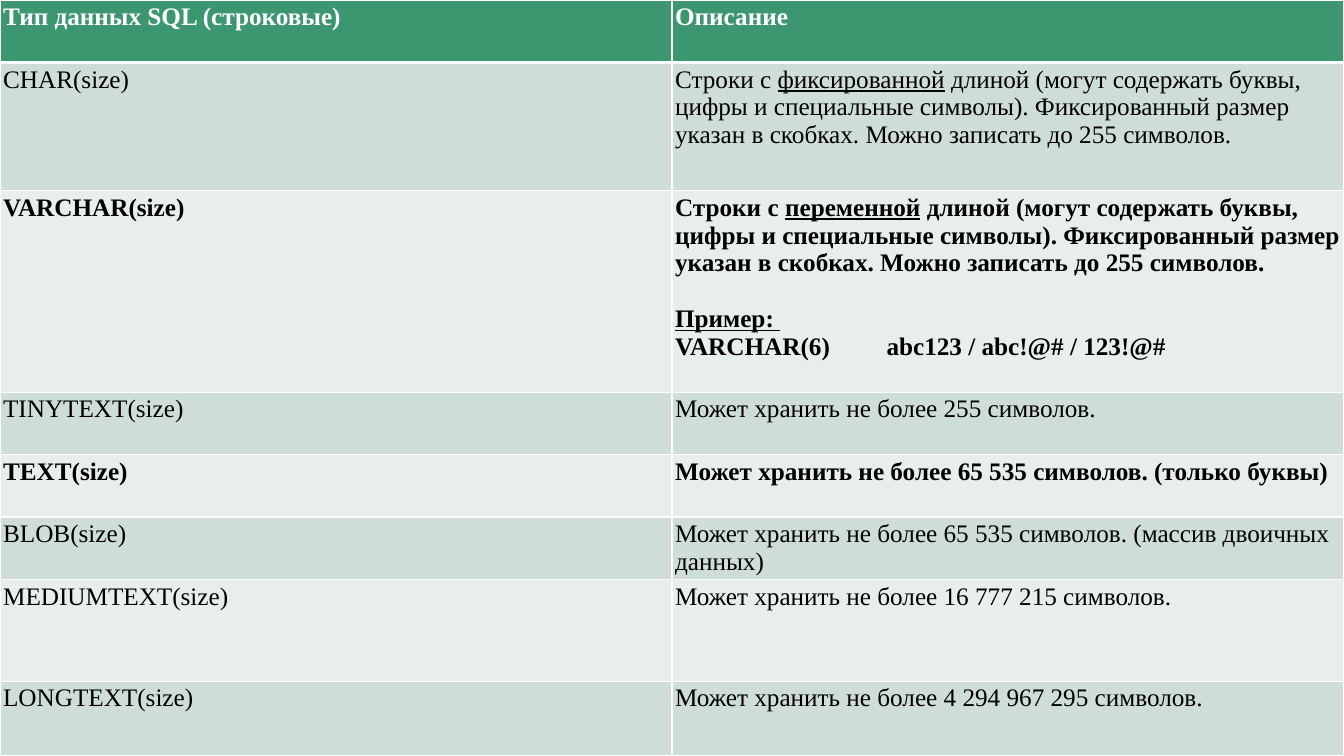
from lxml.etree import SubElement
from pptx import Presentation
from pptx.dml.color import RGBColor
from pptx.oxml import parse_xml
from pptx.oxml.ns import nsdecls, qn
from pptx.util import Pt

WHITE = RGBColor(0xFF, 0xFF, 0xFF)
BLACK = RGBColor(0x00, 0x00, 0x00)
HEADER_GREEN = RGBColor(0x3C, 0x97, 0x70)
BAND_DARK = RGBColor(0xCE, 0xDD, 0xD5)
BAND_LIGHT = RGBColor(0xE8, 0xEF, 0xEB)

FONT = "Times New Roman"
SLIDE_WIDTH, SLIDE_HEIGHT = Pt(960), Pt(540)
CELL_MARGIN = Pt(2.25)
LINE_GAP = Pt(19.8)
EXAMPLE_TAB = Pt(151)

STRING_RULES = (
    " длиной (могут содержать буквы, цифры и специальные символы). "
    "Фиксированный размер указан в скобках. Можно записать до 255 символов."
)
LIMIT = "Может хранить не более {} символов."

# Height in points, type name, description paragraphs, bold.
# A paragraph is a list of runs; every second run is underlined.
ROWS = [
    (44.6, "Тип данных SQL (строковые)", [["Описание"]], True),
    (91.5, "CHAR(size)", [["Строки с ", "фиксированной", STRING_RULES]], False),
    (144.1, "VARCHAR(size)", [
        ["Строки с ", "переменной", STRING_RULES],
        ["", "Пример: "],
        ["VARCHAR(6)\tabc123 / abc!@# / 123!@#"],
    ], True),
    (44.6, "TINYTEXT(size)", [[LIMIT.format("255")]], False),
    (44.6, "TEXT(size)", [[LIMIT.format("65 535") + " (только буквы)"]], True),
    (44.6, "BLOB(size)", [[LIMIT.format("65 535") + " (массив двоичных данных)"]], False),
    (72.7, "MEDIUMTEXT(size)", [[LIMIT.format("16 777 215")]], False),
    (53.3, "LONGTEXT(size)", [[LIMIT.format("4 294 967 295")]], False),
]


def add_text(paragraph, text, *, color=BLACK, bold=False, underline=False, size=18):
    run = paragraph.add_run()
    run.text = text
    font = run.font
    font.name = FONT
    font.size = Pt(size)
    font.bold = bold
    font.underline = underline
    font.color.rgb = color


def add_tab_stop(paragraph, position):
    properties = paragraph._p.get_or_add_pPr()
    tab_list = SubElement(properties, qn("a:tabLst"))
    SubElement(tab_list, qn("a:tab"), pos=str(position), algn="l")


def set_borders(cell, **widths):
    """Draw white borders; widths maps L, R, T and B, in that order, to points."""
    properties = cell._tc.get_or_add_tcPr()
    for index, (side, width) in enumerate(widths.items()):
        properties.insert(index, parse_xml(
            f'<a:ln{side} {nsdecls("a")} w="{Pt(width)}"><a:solidFill>'
            f'<a:srgbClr val="{WHITE}"/></a:solidFill></a:ln{side}>'
        ))


def fill_cell(cell, paragraphs, *, fill, top, bottom, **text_format):
    cell.margin_left = cell.margin_right = CELL_MARGIN
    cell.margin_top = cell.margin_bottom = CELL_MARGIN
    cell.fill.solid()
    cell.fill.fore_color.rgb = fill
    set_borders(cell, L=1, R=1, T=top, B=bottom)
    frame = cell.text_frame
    for number, runs in enumerate(paragraphs):
        paragraph = frame.add_paragraph() if number else frame.paragraphs[0]
        if number == 1:
            paragraph.space_before = LINE_GAP
        if "\t" in runs[0]:
            add_tab_stop(paragraph, EXAMPLE_TAB)
        for position, text in enumerate(runs):
            if text:
                add_text(paragraph, text, underline=position % 2 == 1, **text_format)


def add_types_table(slide):
    shape = slide.shapes.add_table(len(ROWS), 2, 0, 0, SLIDE_WIDTH, SLIDE_HEIGHT)
    table = shape.table
    table.horz_banding = False
    for index, (row_height, type_name, description, bold) in enumerate(ROWS):
        table.rows[index].height = Pt(row_height)
        is_header = index == 0
        band = BAND_DARK if index % 2 else BAND_LIGHT
        for column, paragraphs in enumerate(([[type_name]], description)):
            fill_cell(
                table.cell(index, column), paragraphs,
                fill=HEADER_GREEN if is_header else band,
                top=3 if index == 1 else 1,
                bottom=3 if is_header else 1,
                color=WHITE if is_header else BLACK,
                bold=bold,
            )


def main():
    presentation = Presentation()
    presentation.slide_width = SLIDE_WIDTH
    presentation.slide_height = SLIDE_HEIGHT
    slide = presentation.slides.add_slide(presentation.slide_layouts[6])
    add_types_table(slide)
    presentation.save("out.pptx")


if __name__ == "__main__":
    main()
